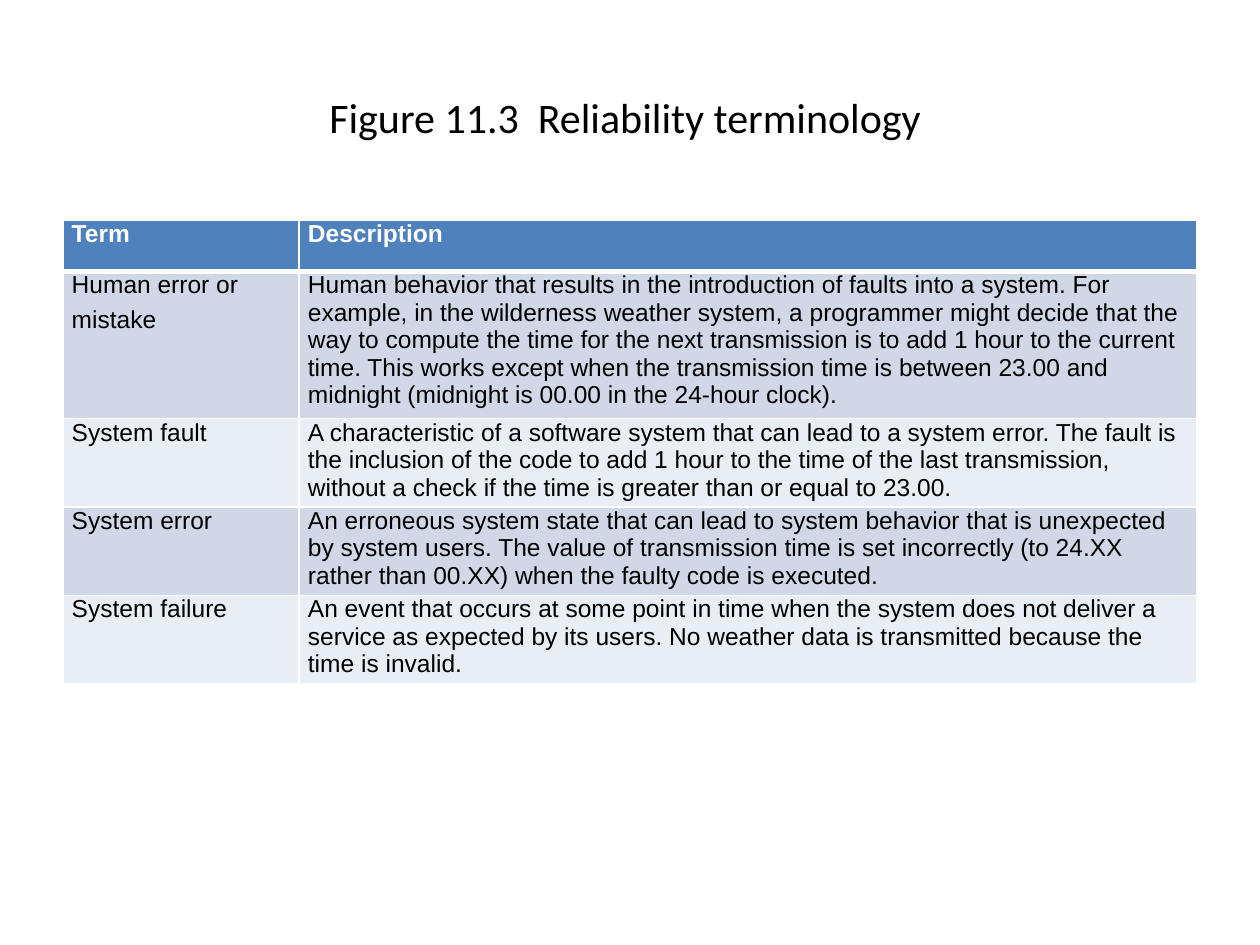
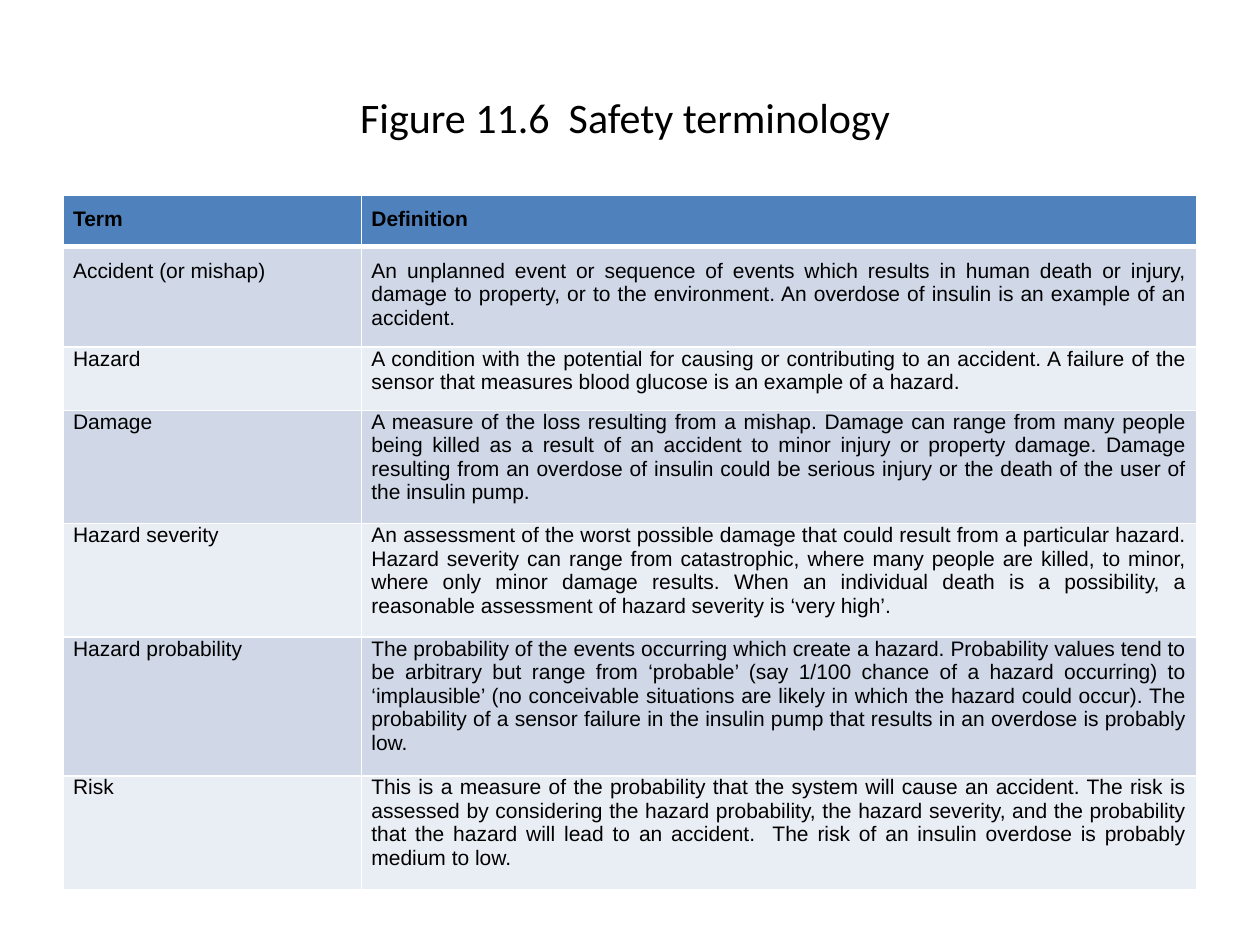
from lxml.etree import SubElement
from pptx import Presentation
from pptx.dml.color import RGBColor
from pptx.enum.text import MSO_ANCHOR, PP_ALIGN
from pptx.oxml.ns import qn
from pptx.util import Pt

WHITE = RGBColor(0xFF, 0xFF, 0xFF)
BLACK = RGBColor(0, 0, 0)
BLUE = RGBColor(0x4F, 0x81, 0xBD)
BANDS = [RGBColor(0xE9, 0xED, 0xF4), RGBColor(0xD0, 0xD8, 0xE8)]
LEFT, WIDTH, HEAD = 36, 648, 29.2


def add_run(para, text, size, font, color, bold=False):
    """Add one styled run to a paragraph."""
    run = para.add_run()
    run.text = text
    run.font.size = Pt(size)
    run.font.name = font
    run.font.color.rgb = color
    run.font.bold = bold


def add_edge(cell, side, width):
    """Draw one white border of a cell; call before the fill is set."""
    line = SubElement(cell._tc.get_or_add_tcPr(), qn("a:" + side), w=str(Pt(width)))
    fill = SubElement(line, qn("a:solidFill"))
    SubElement(fill, qn("a:srgbClr"), val=str(WHITE))


# Each row: height, term, text. A line break starts a new paragraph.
faults = [
    (HEAD, "Term", "Description"),
    (79, "Human error or\nmistake",
     "Human behavior that results in the introduction of faults into a system. "
     "For example, in the wilderness weather system, a programmer might decide "
     "that the way to compute the time for the next transmission is to add 1 hour "
     "to the current time. This works except when the transmission time is between "
     "23.00 and midnight (midnight is 00.00 in the 24-hour clock)."),
    (47.2, "System fault",
     "A characteristic of a software system that can lead to a system error. The "
     "fault is the inclusion of the code to add 1 hour to the time of the last "
     "transmission, without a check if the time is greater than or equal to 23.00."),
    (47.2, "System error",
     "An erroneous system state that can lead to system behavior that is unexpected "
     "by system users. The value of transmission time is set incorrectly (to 24.XX "
     "rather than 00.XX) when the faulty code is executed."),
    (47.2, "System failure",
     "An event that occurs at some point in time when the system does not deliver a "
     "service as expected by its users. No weather data is transmitted because the "
     "time is invalid."),
]
hazards = [
    (HEAD, "Term", "Definition"),
    (54.5, "Accident (or mishap)",
     "An unplanned event or sequence of events which results in human death or "
     "injury, damage to property, or to the environment. An overdose of insulin is "
     "an example of an accident."),
    (34, "Hazard",
     "A condition with the potential for causing or contributing to an accident. A "
     "failure of the sensor that measures blood glucose is an example of a hazard."),
    (60.8, "Damage",
     "A measure of the loss resulting from a mishap. Damage can range from many "
     "people being killed as a result of an accident to minor injury or property "
     "damage. Damage resulting from an overdose of insulin could be serious injury "
     "or the death of the user of the insulin pump."),
    (60.8, "Hazard severity",
     "An assessment of the worst possible damage that could result from a particular "
     "hazard. Hazard severity can range from catastrophic, where many people are "
     "killed, to minor, where only minor damage results. When an individual death is "
     "a possibility, a reasonable assessment of hazard severity is ‘very high’."),
    (74.2, "Hazard probability",
     "The probability of the events occurring which create a hazard. Probability "
     "values tend to be arbitrary but range from ‘probable’ (say 1/100 chance of a "
     "hazard occurring) to ‘implausible’ (no conceivable situations are likely in "
     "which the hazard could occur). The probability of a sensor failure in the "
     "insulin pump that results in an overdose is probably low."),
    (60.8, "Risk",
     "This is a measure of the probability that the system will cause an accident. "
     "The risk is assessed by considering the hazard probability, the hazard "
     "severity, and the probability that the hazard will lead to an accident.  The "
     "risk of an insulin overdose is probably medium to low."),
]

# Title, rows, table top, term width, text size, header colour, alignment,
# space after, side inset, upper inset (first two rows), lower inset (body rows)
pages = [
    ("Figure 11.3  Reliability terminology ", faults, 126, 135, 14, WHITE,
     PP_ALIGN.LEFT, 4, 5, 0, 0),
    ("Figure 11.6  Safety terminology ", hazards, 111.6, 170.5, 12, BLACK,
     PP_ALIGN.JUSTIFY, 0, 5.76, 7.2, 7.2),
]

deck = Presentation()
deck.slide_width, deck.slide_height = Pt(720), Pt(540)

for title, rows, top, term, size, ink, align, after, side, upper, lower in pages:
    slide = deck.slides.add_slide(deck.slide_layouts[6])
    frame = slide.shapes.add_textbox(Pt(LEFT), Pt(21.6), Pt(WIDTH), Pt(90)).text_frame
    frame.word_wrap = True
    frame.vertical_anchor = MSO_ANCHOR.MIDDLE
    frame.paragraphs[0].alignment = PP_ALIGN.CENTER
    add_run(frame.paragraphs[0], title, 24, "Calibri", BLACK)

    high = sum(row[0] for row in rows)
    table = slide.shapes.add_table(
        len(rows), 2, Pt(LEFT), Pt(top), Pt(WIDTH), Pt(high)).table
    table.columns[0].width = Pt(term)
    table.columns[1].width = Pt(WIDTH - term)
    for r, (height, *texts) in enumerate(rows):
        table.rows[r].height = Pt(height)
        for c, text in enumerate(texts):
            cell = table.cell(r, c)
            cell.margin_left = cell.margin_right = Pt(side)
            cell.margin_top = Pt(upper if r < 2 else 0)
            cell.margin_bottom = Pt(lower if r else 0)
            add_edge(cell, "lnL", 1)
            add_edge(cell, "lnR", 1)
            add_edge(cell, "lnT", 3 if r == 1 else 1)
            add_edge(cell, "lnB", 3 if r == 0 else 1)
            cell.fill.solid()
            cell.fill.fore_color.rgb = BANDS[r % 2] if r else BLUE
            for n, part in enumerate(text.split("\n")):
                body = cell.text_frame
                para = body.add_paragraph() if n else body.paragraphs[0]
                para.alignment = align
                para.space_after = Pt(after if r else 0)
                add_run(para, part, size, "Arial", BLACK if r else ink, r == 0)

deck.save("out.pptx")
